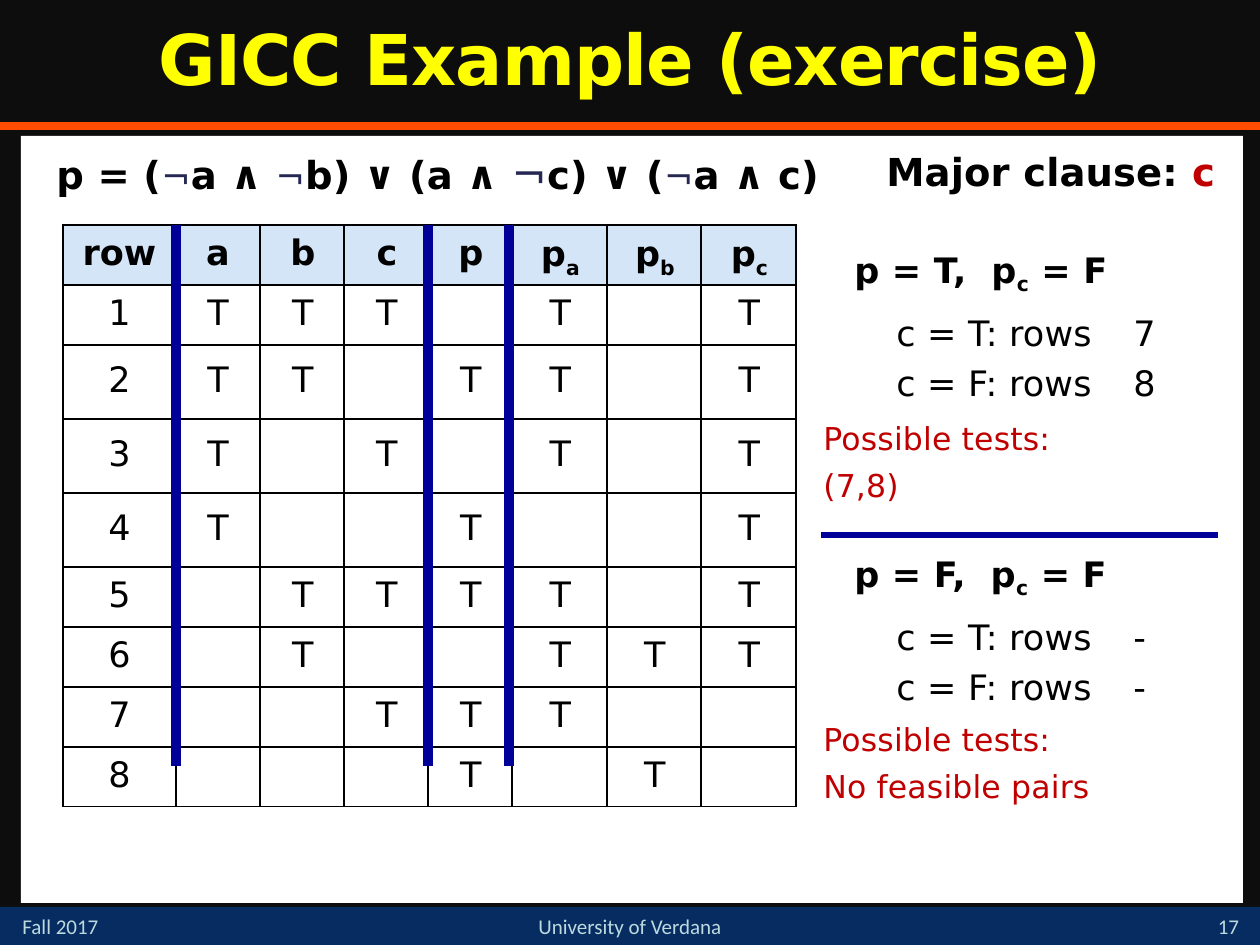
import pptx
import pptx.util
import pptx.dml.color
import pptx.enum.shapes
import pptx.enum.text
import pptx.oxml
import pptx.oxml.ns
from lxml import etree

RGB = pptx.dml.color.RGBColor
BACK = RGB(0x0D, 0x0D, 0x0D)
NAVY = RGB(0x07, 0x2C, 0x62)
PALE = RGB(0xBD, 0xDA, 0xDF)
ORANGE = RGB(0xFF, 0x4C, 0x00)
YELLOW = RGB(0xFF, 0xFF, 0x00)
WHITE = RGB(0xFF, 0xFF, 0xFF)
BLACK = RGB(0x00, 0x00, 0x00)
HEAD = RGB(0xD4, 0xE5, 0xF7)
BLUE = RGB(0x00, 0x00, 0x99)
RED = RGB(0xC0, 0x00, 0x00)
INK = RGB(0x24, 0x28, 0x52)

SANS = "DejaVu Sans"
ALIGN = pptx.enum.text.PP_ALIGN
ANCHOR = pptx.enum.text.MSO_ANCHOR
INDENT = 2  # px
LEAD = 0.9

# Columns that hold T on each row of the truth table
TRUE = ["a b c pa pc", "a b p pa pc", "a c pa pc", "a p pc",
        "b c p pa pc", "b pa pb pc", "c p pa", "p pb"]
COLS = ["row", "a", "b", "c", "p", "pa", "pb", "pc"]
WIDTHS = [113, 84, 84, 84, 84, 95, 94, 95]
ROWS = [60, 60, 74, 74, 74, 60, 60, 60, 60]


def px(n):
    return pptx.util.Emu(round(n * 914400 / 126))


def add_run(para, text, size, color, bold=False, font=SANS, spc=0, sub=False):
    run = para.add_run()
    run.text = text
    run.font.size = pptx.util.Pt(size)
    run.font.name = font
    run.font.bold = bold
    run.font.color.rgb = color
    props = run._r.get_or_add_rPr()
    if spc:
        props.set("spc", str(spc))
    if sub:
        props.set("baseline", "-25000")


def set_para(para, align=ALIGN.LEFT, lead=None, before=0, indent=0):
    para.alignment = align
    para.line_spacing = lead
    para.space_before = pptx.util.Pt(before)
    para._p.get_or_add_pPr().set("marL", str(px(indent)))


def add_text(slide, box, paras, anchor=ANCHOR.TOP, **style):
    """Each paragraph is a list of (text, size, color, options) runs."""
    frame = slide.shapes.add_textbox(*map(px, box)).text_frame
    frame.word_wrap = True
    frame.vertical_anchor = anchor
    for i, runs in enumerate(paras):
        para = frame.add_paragraph() if i else frame.paragraphs[0]
        set_para(para, **style)
        for text, size, color, opts in runs:
            add_run(para, text, size, color, **opts)


def add_rect(slide, box, color):
    rect = slide.shapes.add_shape(
        pptx.enum.shapes.MSO_SHAPE.RECTANGLE, *map(px, box))
    rect.shadow.inherit = False
    rect.fill.solid()
    rect.fill.fore_color.rgb = color
    rect.line.fill.background()


def add_line(slide, ends, color, width):
    line = slide.shapes.add_connector(
        pptx.enum.shapes.MSO_CONNECTOR.STRAIGHT, *map(px, ends))
    line.line.color.rgb = color
    line.line.width = pptx.util.Pt(width)
    etree.SubElement(line._element.spPr, pptx.oxml.ns.qn("a:effectLst"))


def add_foot(slide, x, y, w, h):
    add_rect(slide, (x, y, w, h), NAVY)
    opts = {"font": "Calibri"}
    for text, left, top, wide, tall, align, anchor in [
            ("Fall 2017", 10, 0, 147, h, ALIGN.LEFT, ANCHOR.TOP),
            ("17", 1197, -4, 63, h + 4, ALIGN.CENTER, ANCHOR.BOTTOM),
            ("University of Verdana", 462, 0, 336, h, ALIGN.CENTER, ANCHOR.TOP)]:
        add_text(slide, (x + left, y + top, wide, tall),
                 [[(text, 12, PALE, opts)]], anchor, align=align)


def add_title(slide, x, y, w, h):
    add_line(slide, (x, y + h, x + w, y + h), ORANGE, 4.5)
    add_text(slide, (x, y, w, h),
             [[("GICC Example (exercise)", 40, YELLOW,
                {"bold": True, "spc": -50})]],
             ANCHOR.MIDDLE, align=ALIGN.CENTER, lead=LEAD)


def add_heads(slide, x, y):
    bold = {"bold": True, "spc": 10}
    runs = []
    for text, size in [("p = (", 20), ("a ∧ ", 20), ("b) ∨ (a ∧ ", 24),
                       ("c) ∨ (", 20), ("a ∧ c)", 0)]:
        runs.append((text, 22, BLACK, bold))
        if size:
            runs.append(("¬", size, INK, {"spc": 10}))
    add_text(slide, (x, y, 852, 94), [runs], lead=LEAD, indent=INDENT)
    add_text(slide, (x + 830, y, 378, 73),
             [[("Major clause: ", 22, BLACK, bold), ("c", 22, RED, bold)]],
             lead=LEAD, indent=INDENT)


def set_edges(cell):
    props = cell._tc.get_or_add_tcPr()
    for i, side in enumerate(["lnL", "lnR", "lnT", "lnB"]):
        props.insert(i, pptx.oxml.parse_xml(
            f'<a:{side} {pptx.oxml.ns.nsdecls("a")} w="12700"><a:solidFill>'
            f'<a:srgbClr val="{BLACK}"/></a:solidFill></a:{side}>'))


def add_table(slide, x, y):
    shape = slide.shapes.add_table(
        len(ROWS), len(COLS), px(x), px(y), px(sum(WIDTHS)), px(sum(ROWS)))
    table = shape.table
    table.first_row = table.horz_banding = False
    for col, wide in zip(table.columns, WIDTHS):
        col.width = px(wide)
    for row, tall in zip(table.rows, ROWS):
        row.height = px(tall)
    for r in range(len(ROWS)):
        for c, name in enumerate(COLS):
            cell = table.cell(r, c)
            cell.vertical_anchor = ANCHOR.MIDDLE
            if r == 0:
                cell.fill.solid()
                cell.fill.fore_color.rgb = HEAD
            else:
                cell.fill.background()
            set_edges(cell)
            para = cell.text_frame.paragraphs[0]
            set_para(para, ALIGN.CENTER, LEAD, indent=INDENT if c > 1 else 0)
            if r == 0 and len(name) == 2:
                add_run(para, name[0], 20, BLACK, True)
                add_run(para, name[1], 20, BLACK, True, sub=True)
            elif r == 0:
                add_run(para, name, 20, BLACK, True)
            elif c == 0:
                add_run(para, str(r), 20, BLACK)
            elif name in TRUE[r - 1].split():
                add_run(para, "T", 20, BLACK)


def add_case(slide, x, y, value, found, tests, drop):
    """One value of p: the rows for each c, then the possible tests."""
    bold = {"bold": True, "spc": 10}
    plain = {"spc": 10}
    add_text(slide, (x + 31, y, 368, 88),
             [[(f"p = {value},  p", 20, BLACK, bold),
               ("c", 20, BLACK, {**bold, "sub": True}),
               (" = F", 20, BLACK, bold)]], indent=INDENT)
    for left, top, wide, size, color, lines in [
            (73, 63, 252, 20, BLACK, ["c = T: rows", "c = F: rows"]),
            (310, 63, 120, 20, BLACK, found),
            (0, drop, 422, 18, RED, ["Possible tests:", tests])]:
        add_text(slide, (x + left, y + top, wide, 110),
                 [[(text, size, color, plain)] for text in lines],
                 before=5, indent=INDENT)


def main():
    deck = pptx.Presentation()
    deck.slide_width, deck.slide_height = px(1260), px(945)
    slide = deck.slides.add_slide(deck.slide_layouts[6])
    slide.background.fill.solid()
    slide.background.fill.fore_color.rgb = BACK

    # Frame
    add_foot(slide, 0, 907, 1260, 38)
    add_title(slide, 0, 0, 1260, 126)
    add_rect(slide, (21, 136, 1222, 767), WHITE)

    # Truth table and its dividers
    add_table(slide, 63, 225)
    add_heads(slide, 42, 147)
    for x in (176, 428, 509):
        add_line(slide, (x, 225, x, 766), BLUE, 6)

    # Cases
    add_case(slide, 809, 242, "T", ["7", "8"], "(7,8)", 171)
    add_line(slide, (821, 535, 1218, 535), BLUE, 3)
    add_case(slide, 809, 546, "F", ["-", "-"], "No feasible pairs", 168)
    deck.save("out.pptx")


if __name__ == "__main__":
    main()
